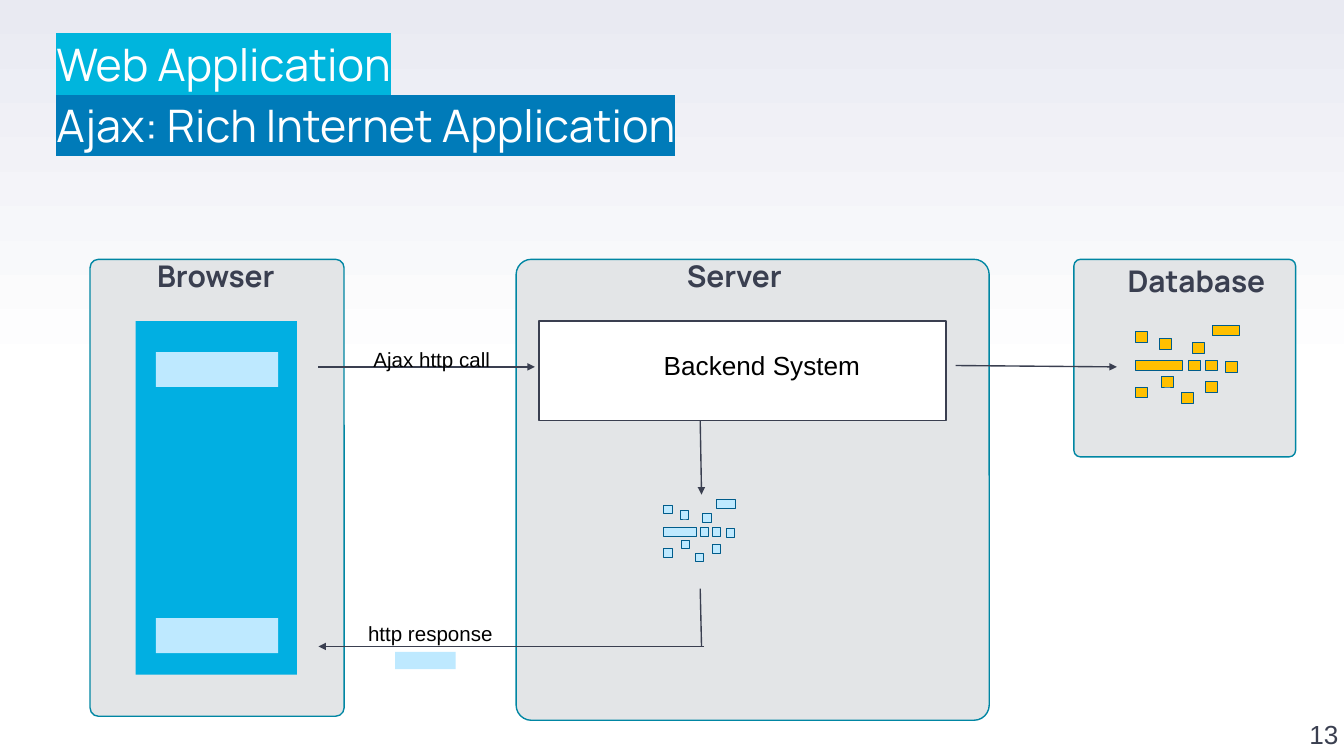
from lxml import etree
from pptx import Presentation
from pptx import util as u
from pptx.dml.color import RGBColor
from pptx.enum import shapes, text
from pptx.oxml.ns import qn

HEX = {
    "ink": "3A3F50", "black": "000000", "white": "FFFFFF", "haze": "E9EAF2",
    "panel": "E3E5E7", "teal": "0086A3", "page": "01AFE2", "pale": "BEE9FF",
    "gold": "FFC000", "edge": "005C8B", "cyan": "00B5DD", "blue": "007BB9",
}
# Left, top and width of each data block, from the cluster's corner
BLOCKS = [
    (0, 0.05, 0.09), (0.18, 0.1, 0.09), (0, 0.26, 0.35), (0.57, 0, 0.2),
    (0, 0.46, 0.09), (0.39, 0.26, 0.09), (0.52, 0.26, 0.09), (0.67, 0.27, 0.09),
    (0.19, 0.38, 0.09), (0.52, 0.42, 0.09), (0.34, 0.5, 0.09), (0.42, 0.13, 0.09),
]


def tint(name):
    return RGBColor.from_string(HEX[name])


def place(*nums):
    return [u.Inches(n) for n in nums]


def mark(run, color):
    """Put a highlight colour behind a run whose text colour is set."""
    glow = etree.Element(qn("a:highlight"))
    etree.SubElement(glow, qn("a:srgbClr"), val=HEX[color])
    run._r.rPr.find(qn("a:solidFill")).addnext(glow)


def write(shape, *lines, size=14, font="Arial", color="black", bold=False,
          align="LEFT", anchor="TOP", space=1.0, indent=0, pad=None, marks=()):
    frame = shape.text_frame
    frame.word_wrap = True
    frame.auto_size = text.MSO_AUTO_SIZE.NONE
    frame.vertical_anchor = text.MSO_ANCHOR[anchor]
    if pad is not None:
        frame.margin_left = frame.margin_right = u.Inches(pad)
        frame.margin_top = frame.margin_bottom = u.Inches(pad)
    for i, line in enumerate(lines):
        para = frame.add_paragraph() if i else frame.paragraphs[0]
        para.alignment = text.PP_ALIGN[align]
        para.line_spacing = space
        if indent:
            para._p.get_or_add_pPr().set("marL", str(u.Inches(indent)))
        run = para.add_run()
        run.text = line
        run.font.size = u.Pt(size)
        run.font.name = font
        run.font.bold = bold
        run.font.color.rgb = tint(color)
        if marks:
            mark(run, marks[i])


def label(slide, box, words, **style):
    write(slide.shapes.add_textbox(*place(*box)), words, **style)


def head(slide, box, words):
    label(slide, box, words, size=16, font="Manrope", color="ink", bold=True,
          space=1.1, indent=0.62, pad=0)


def block(parent, box, fill, line=None, width=0.75, kind="RECTANGLE"):
    shape = parent.shapes.add_shape(shapes.MSO_SHAPE[kind], *place(*box))
    shape.shadow.inherit = False
    shape.fill.solid()
    shape.fill.fore_color.rgb = tint(fill)
    if line:
        shape.line.color.rgb = tint(line)
        shape.line.width = u.Pt(width)
    else:
        shape.line.fill.background()
    return shape


def panel(slide, *box):
    shape = block(slide, box, "panel", "teal", kind="ROUNDED_RECTANGLE")
    shape.adjustments[0] = 0.033


def data(slide, left, top, fill, wide=1, high=1):
    """Draw a cluster of data blocks, scaled by wide and high."""
    group = slide.shapes.add_group_shape()
    for x, y, w in BLOCKS:
        box = (left + x * wide, top + y * high, w * wide, 0.08 * high)
        block(group, box, fill, "edge", 0.5)


def link(slide, start, end, arrow=True):
    line = slide.shapes.add_connector(
        shapes.MSO_CONNECTOR.STRAIGHT, *place(*start, *end))
    line.line.color.rgb = tint("ink")
    line.line.width = u.Pt(0.75)
    if arrow:
        etree.SubElement(line.line._get_or_add_ln(), qn("a:tailEnd"),
                         type="triangle", w="sm", len="sm")
    etree.SubElement(line._element.spPr, qn("a:effectLst"))


def shade(slide):
    """Fade the background from white up to a pale haze."""
    fill = slide.background.fill
    fill.gradient()
    fill.gradient_angle = 90
    for stop, spot, color in zip(fill.gradient_stops, (0.5, 1), ("white", "haze")):
        stop.position = spot
        stop.color.rgb = tint(color)


def title(slide):
    shape = slide.shapes.title
    shape.left, shape.top, shape.width, shape.height = place(0.42, 0.21, 5.69, 0.98)
    write(shape, "Web Application", "Ajax: Rich Internet Application", size=24,
          font="Manrope", color="white", space=1.15, pad=0, marks=("cyan", "blue"))


def browser(slide):
    panel(slide, 0.67, 1.93, 1.89, 3.4)
    head(slide, (0.55, 1.89, 2.3, 0.29), "Browser")
    block(slide, (1.01, 2.39, 1.2, 2.63), "page")
    for top in (2.62, 4.6):
        block(slide, (1.16, top, 0.91, 0.26), "pale")


def server(slide):
    panel(slide, 3.84, 1.93, 3.52, 3.43)
    head(slide, (4.49, 1.89, 1.46, 0.29), "Server")
    block(slide, (4.01, 2.39, 3.03, 0.74), "white", "ink")
    label(slide, (4.84, 2.55, 1.93, 0.34), "Backend System")
    data(slide, 4.94, 3.72, "pale", 0.69, 0.79)


def store(slide):
    panel(slide, 7.99, 1.93, 1.65, 1.47)
    head(slide, (7.77, 1.93, 1.73, 0.29), "Database")
    data(slide, 8.45, 2.42, "gold")


def flow(slide):
    link(slide, (2.37, 2.73), (3.98, 2.73))
    link(slide, (7.11, 2.72), (8.31, 2.73))
    link(slide, (5.21, 3.13), (5.22, 3.68))
    link(slide, (5.22, 4.81), (5.21, 4.38), arrow=False)
    link(slide, (5.24, 4.81), (2.37, 4.81))
    label(slide, (2.68, 2.53, 1.45, 0.29), "Ajax http call", size=11)
    label(slide, (2.64, 4.57, 1.57, 0.29), "http response", size=11)
    block(slide, (2.94, 4.85, 0.45, 0.13), "pale")


def main():
    deck = Presentation()
    deck.slide_width = u.Inches(10)
    deck.slide_height = deck.slide_width * 9 // 16
    slide = deck.slides.add_slide(deck.slide_layouts[5])
    shade(slide)
    title(slide)
    browser(slide)
    server(slide)
    store(slide)
    flow(slide)
    label(slide, (9.46, 5.07, 0.5, 0.51), "13", color="ink", align="RIGHT",
          anchor="BOTTOM", pad=0)
    deck.save("out.pptx")


if __name__ == "__main__":
    main()
